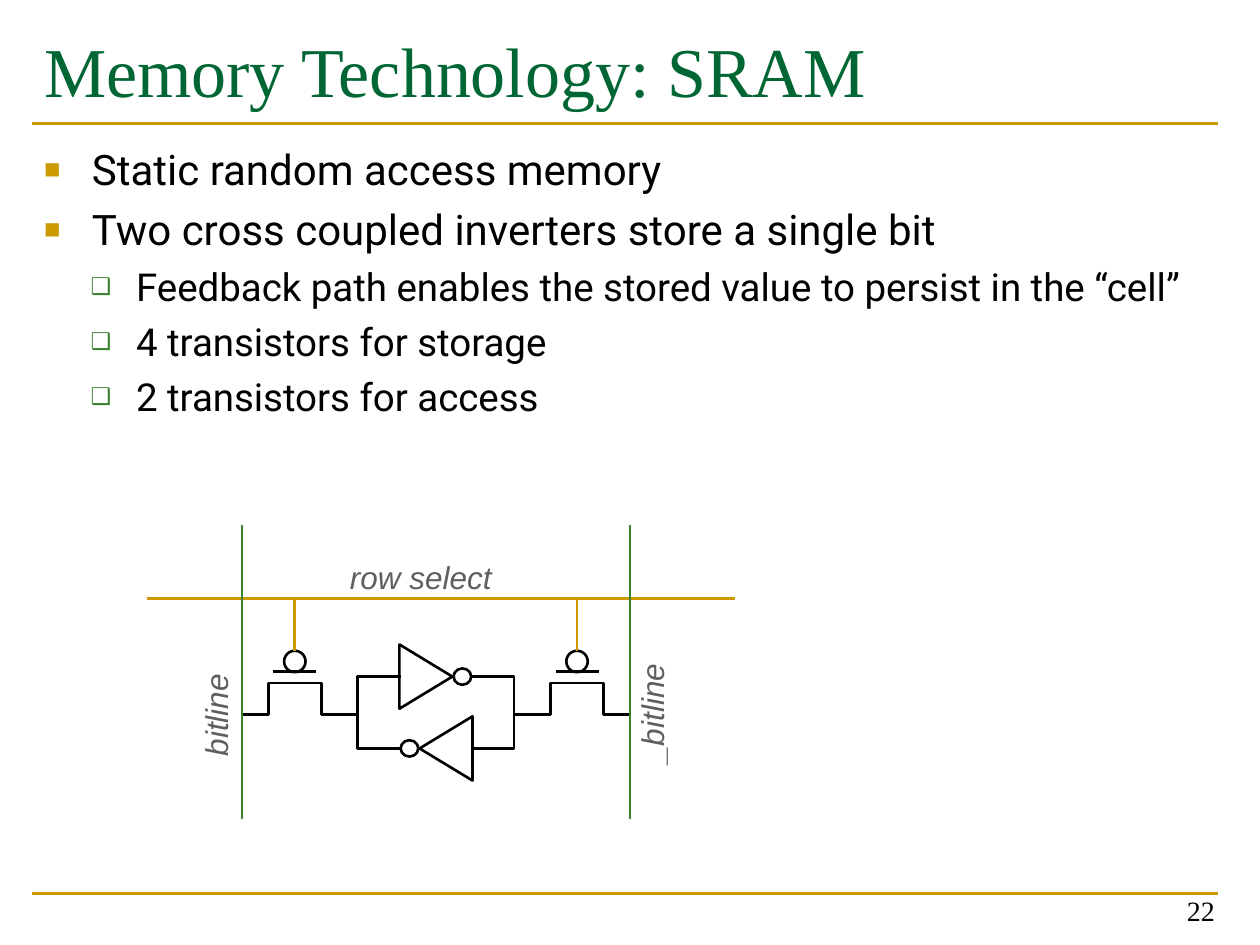
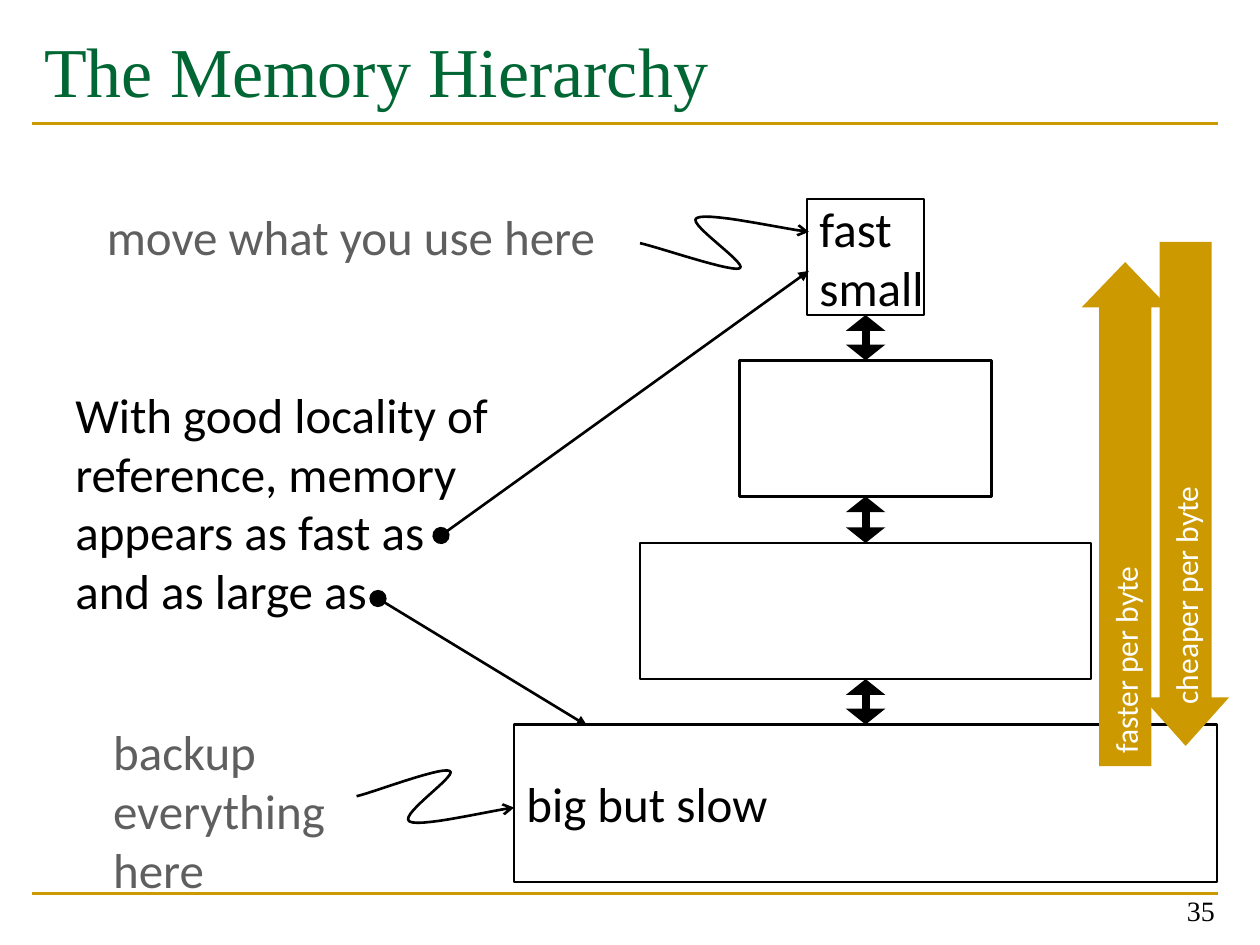
from dataclasses import dataclass
from itertools import pairwise

from lxml import etree
from pptx import Presentation
from pptx.dml.color import RGBColor
from pptx.enum.shapes import MSO_CONNECTOR, MSO_SHAPE
from pptx.enum.text import MSO_ANCHOR, MSO_AUTO_SIZE, PP_ALIGN
from pptx.oxml.ns import qn
from pptx.util import Inches, Pt


@dataclass(frozen=True)
class Theme:
    title_color: str = "006633"
    gold: str = "CC9900"
    green: str = "3B812F"
    black: str = "000000"
    gray: str = "5F5F5F"
    white: str = "FFFFFF"
    title_font: str = "Times New Roman"
    body_font: str = "Roboto"
    diagram_font: str = "Calibri"
    circuit_font: str = "Arial"
    title_size: int = 40
    number_size: int = 16
    note_size: int = 28
    label_size: int = 18
    thin: float = 1.5
    thick: float = 4.5


@dataclass(frozen=True)
class Level:
    size: int
    before: float
    margin: float
    hang: float
    bullet: str
    bullet_color: str
    bullet_percent: int


THEME = Theme()
LEVELS = (
    Level(24, 5.6, 0.38, 0.38, "■", THEME.gold, 65),
    Level(22, 5.1, 0.73, 0.36, "❑", THEME.green, 60),
)
CONTENT_LEFT, CONTENT_RIGHT = 0.25, 9.67
CONTENT_WIDTH = CONTENT_RIGHT - CONTENT_LEFT


# --- Shared drawing helpers ---
def rgb(color):
    return RGBColor.from_string(color)


def inches(*lengths):
    return [Inches(length) for length in lengths]


def style_text(frame, font, size, color, italic=False, align=PP_ALIGN.LEFT):
    for paragraph in frame.paragraphs:
        paragraph.alignment = align
        for run in paragraph.runs:
            run.font.name = font
            run.font.size = Pt(size)
            run.font.italic = italic
            run.font.color.rgb = rgb(color)


def style_line(item, color=THEME.black, width=THEME.thin):
    item.line.color.rgb = rgb(color)
    item.line.width = Pt(width)


def add_arrowhead(item, end, kind, width="med", length="med"):
    line = item._element.spPr.find(qn("a:ln"))
    etree.SubElement(line, qn(f"a:{end}"), type=kind, w=width, len=length)


def add_line(slide, x1, y1, x2, y2, color=THEME.black, width=THEME.thin):
    line = slide.shapes.add_connector(MSO_CONNECTOR.STRAIGHT, *inches(x1, y1, x2, y2))
    style_line(line, color, width)
    etree.SubElement(line._element.spPr, qn("a:effectLst"))
    return line


def add_outline(slide, kind, left, top, width, height):
    shape = slide.shapes.add_shape(kind, *inches(left, top, width, height))
    shape.shadow.inherit = False
    shape.fill.background()
    style_line(shape)
    return shape


def add_centered(slide, kind, x, y, width, height):
    return add_outline(slide, kind, x - width / 2, y - height / 2, width, height)


def add_path(slide, points):
    start, *rest = [inches(*point) for point in points]
    builder = slide.shapes.build_freeform(*start)
    builder.add_line_segments(rest, close=False)
    outline = builder.convert_to_shape()
    outline.shadow.inherit = False
    outline.fill.background()
    style_line(outline)
    return outline


def add_text(slide, text, left, top, width, height, wrap=False):
    box = slide.shapes.add_textbox(*inches(left, top, width, height))
    frame = box.text_frame
    frame.text = text
    frame.word_wrap = wrap
    frame.auto_size = MSO_AUTO_SIZE.SHAPE_TO_FIT_TEXT
    return box


# --- Frame common to every slide ---
def add_framed_slide(prs, layout_index, title_text, number):
    slide = prs.slides.add_slide(prs.slide_layouts[layout_index])
    for y in (7.09, 0.98):
        add_line(slide, CONTENT_LEFT, y, CONTENT_RIGHT, y, THEME.gold)

    title = slide.shapes.title
    title.left, title.top, title.width, title.height = inches(
        CONTENT_LEFT, 0.17, CONTENT_WIDTH, 1.17)
    frame = title.text_frame
    frame.text = title_text
    frame.auto_size = MSO_AUTO_SIZE.NONE
    frame.vertical_anchor = MSO_ANCHOR.TOP
    style_text(frame, THEME.title_font, THEME.title_size, THEME.title_color)

    page = add_text(slide, str(number), 7.41, 6.91, 2.33, 0.5, wrap=True).text_frame
    page.auto_size = MSO_AUTO_SIZE.NONE
    page.vertical_anchor = MSO_ANCHOR.BOTTOM
    style_text(page, THEME.title_font, THEME.number_size, THEME.black,
               align=PP_ALIGN.RIGHT)
    return slide


# --- Bulleted list ---
def set_bullet(paragraph, level):
    props = paragraph._p.get_or_add_pPr()
    props.set("marL", str(Inches(level.margin)))
    props.set("indent", str(-Inches(level.hang)))
    color = etree.SubElement(props, qn("a:buClr"))
    etree.SubElement(color, qn("a:srgbClr"), val=level.bullet_color)
    etree.SubElement(props, qn("a:buSzPct"), val=str(level.bullet_percent * 1000))
    etree.SubElement(props, qn("a:buChar"), char=level.bullet)


def fill_list(body, items, left, top, width, height):
    body.left, body.top, body.width, body.height = inches(left, top, width, height)
    frame = body.text_frame
    frame.text = "\n".join(text for _, text in items)
    frame.auto_size = MSO_AUTO_SIZE.NONE
    for index, (paragraph, (depth, _)) in enumerate(zip(frame.paragraphs, items)):
        level = LEVELS[depth]
        paragraph.level = depth
        set_bullet(paragraph, level)
        paragraph.space_before = Pt(level.before if index else 0)
        for run in paragraph.runs:
            run.font.name = THEME.body_font
            run.font.size = Pt(level.size)
            run.font.color.rgb = rgb(THEME.black)


# --- SRAM cell circuit ---
def add_inverter(slide, middle, y, direction):
    gate = add_centered(slide, MSO_SHAPE.ISOSCELES_TRIANGLE,
                        middle - direction * 0.08, y, 0.51, 0.42)
    gate.rotation = 90 * direction
    add_centered(slide, MSO_SHAPE.OVAL, middle + direction * 0.21, y, 0.14, 0.13)


def add_cell_side(slide, middle, top, side):
    """Feedback wire, access transistor and bitline on one side of the cell."""
    def path(*points):
        add_path(slide, [(middle + side * x, top + y) for x, y in points])

    path((0.28, 1.2), (0.62, 1.2), (0.62, 1.77), (0.28, 1.77))
    path((1.54, 1.5), (1.33, 1.5), (1.33, 1.25), (0.91, 1.25), (0.91, 1.5), (0.62, 1.5))
    gate_x, bitline_x = middle + side * 1.12, middle + side * 1.54
    add_line(slide, gate_x - 0.17, top + 1.16, gate_x + 0.17, top + 1.16)
    add_centered(slide, MSO_SHAPE.OVAL, gate_x, top + 1.08, 0.17, 0.17)
    add_line(slide, bitline_x, top, bitline_x, top + 2.33, THEME.green)
    add_line(slide, gate_x, top + 0.58, gate_x, top + 1, THEME.gold)


def add_sram_cell(slide, left, top, width):
    middle = left + width / 2 - 0.04
    add_inverter(slide, middle, top + 1.2, 1)
    add_inverter(slide, middle, top + 1.77, -1)
    add_line(slide, left, top + 0.58, left + width, top + 0.58, THEME.gold)
    for side in (-1, 1):
        add_cell_side(slide, middle, top, side)

    labels = (("row select", 2.17, 0.42, 1.33, 0), ("bitline", 0.56, 1.5, 0.85, 270),
              ("_bitline", 4.02, 1.49, 0.99, 270))
    for text, x, y, label_width, rotation in labels:
        label = add_text(slide, text, left + x - label_width / 2, top + y - 0.18,
                         label_width, 0.37)
        label.rotation = rotation
        style_text(label.text_frame, THEME.circuit_font, THEME.label_size, THEME.gray,
                   italic=True, align=PP_ALIGN.CENTER)
        label.text_frame.paragraphs[0].line_spacing = 0.9


# --- Memory pyramid ---
def add_pyramid(slide, left, top, width):
    middle = left + width / 2
    levels = (("fast\nsmall", 0, 0.93, 0.92), ("", 1.28, 2, 1.08),
              ("", 2.73, 3.58, 1.08), ("big but slow", 4.17, width, 1.25))
    tiers = []
    for text, y, tier_width, height in levels:
        tier = add_outline(slide, MSO_SHAPE.RECTANGLE, middle - tier_width / 2,
                           top + y, tier_width, height)
        if text:
            tier.text_frame.text = text
            tier.text_frame.word_wrap = False
            style_text(tier.text_frame, THEME.diagram_font, THEME.note_size, THEME.black)
        else:
            tier.fill.solid()
            tier.fill.fore_color.rgb = rgb(THEME.white)
        tiers.append(tier)

    for upper, lower in pairwise(tiers):
        link = add_line(slide, middle, top, middle, top + 1, width=THEME.thick)
        link.begin_connect(upper, 2)
        link.end_connect(lower, 0)
        for end in ("headEnd", "tailEnd"):
            add_arrowhead(link, end, "triangle", "lg", "sm")


def bezier_points(start, segments, steps=14):
    points = [start]
    for c1, c2, end in segments:
        for step in range(1, steps + 1):
            t = step / steps
            weights = ((1 - t) ** 3, 3 * t * (1 - t) ** 2, 3 * t * t * (1 - t), t ** 3)
            corners = (start, c1, c2, end)
            points.append(tuple(sum(w * p[axis] for w, p in zip(weights, corners))
                                for axis in (0, 1)))
        start = end
    return points


def add_note(slide, text, left, top, width, height, color=THEME.gray, wrap=False):
    note = add_text(slide, text, left, top, width, height, wrap)
    style_text(note.text_frame, THEME.diagram_font, THEME.note_size, color)


def add_squiggle(slide, start, segments):
    squiggle = add_path(slide, bezier_points(start, segments))
    add_arrowhead(squiggle, "tailEnd", "arrow")


def add_locality_note(slide, left, top):
    add_note(slide, "With good locality of reference, memory appears as fast as\n"
             "and as large as", left, top, 3.7, 1.99, THEME.black, wrap=True)
    for x1, y1, x2, y2 in ((3, 1.25, 5.92, -0.85), (2.5, 1.75, 4.16, 2.76)):
        pointer = add_line(slide, left + x1, top + y1, left + x2, top + y2)
        add_arrowhead(pointer, "headEnd", "oval", "lg", "lg")
        add_arrowhead(pointer, "tailEnd", "triangle")


def add_trend_arrow(slide, kind, text, x, y, head):
    """Vertical block arrow centred on (x, y), read from bottom to top."""
    arrow = add_centered(slide, kind, x, y, 4, 0.69)
    arrow.rotation = 270
    arrow.adjustments[0], arrow.adjustments[1] = 0.6, head
    arrow.fill.solid()
    arrow.fill.fore_color.rgb = rgb(THEME.gold)
    arrow.line.fill.background()
    arrow.text_frame.text = text
    arrow.text_frame.word_wrap = False
    style_text(arrow.text_frame, THEME.diagram_font, THEME.label_size, THEME.white)


# --- Slides ---
def build_sram_slide(prs):
    slide = add_framed_slide(prs, 1, "Memory Technology: SRAM", 22)
    fill_list(slide.placeholders[1], (
        (0, "Static random access memory"),
        (0, "Two cross coupled inverters store a single bit"),
        (1, "Feedback path enables the stored value to persist in the “cell”"),
        (1, "4 transistors for storage"),
        (1, "2 transistors for access"),
    ), CONTENT_LEFT, 1.09, CONTENT_WIDTH, 5.68)
    add_sram_cell(slide, 1.17, 4.17, 4.66)


def build_hierarchy_slide(prs):
    slide = add_framed_slide(prs, 5, "The Memory Hierarchy", 35)
    add_pyramid(slide, 4.08, 1.58, 5.58)
    add_note(slide, "move what you use here", 0.75, 1.59, 4.12, 0.57)
    add_squiggle(slide, (5.08, 1.93), (
        ((5.22, 1.96), (5.8, 2.16), (5.87, 2.13)),
        ((5.95, 2.1), (5.44, 1.77), (5.53, 1.73)),
        ((5.62, 1.68), (6.23, 1.82), (6.42, 1.84))))
    add_note(slide, "backup\neverything\nhere", 0.8, 5.68, 1.9, 1.51)
    add_squiggle(slide, (2.83, 6.32), (
        ((2.96, 6.29), (3.51, 6.08), (3.57, 6.12)),
        ((3.64, 6.15), (3.16, 6.47), (3.25, 6.52)),
        ((3.33, 6.57), (3.91, 6.43), (4.08, 6.41))))
    add_locality_note(slide, 0.5, 3)
    add_trend_arrow(slide, MSO_SHAPE.RIGHT_ARROW, "faster per byte", 8.93, 4.08, 0.52)
    add_trend_arrow(slide, MSO_SHAPE.LEFT_ARROW, "cheaper per byte", 9.41, 3.92, 0.56)


def main():
    prs = Presentation()
    prs.slide_width, prs.slide_height = inches(10, 7.5)
    build_sram_slide(prs)
    build_hierarchy_slide(prs)
    prs.save("out.pptx")


if __name__ == "__main__":
    main()
